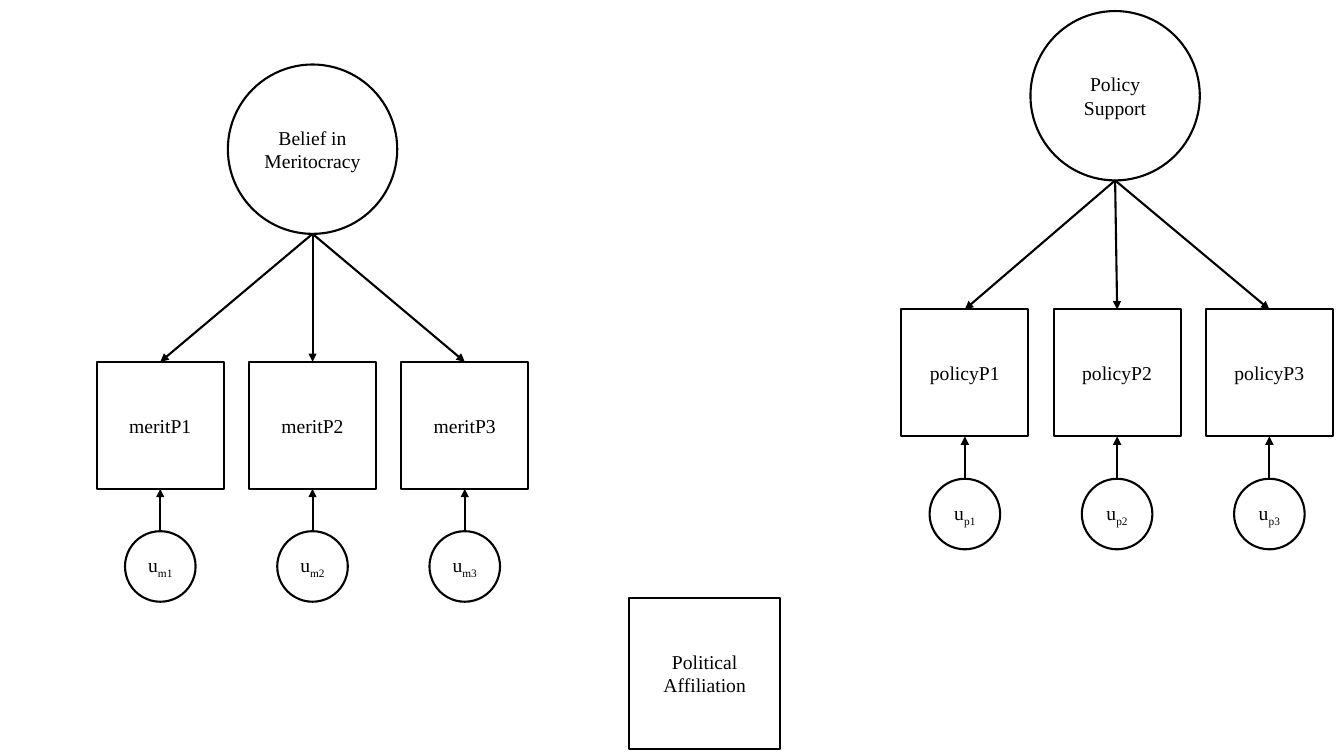
from lxml.etree import SubElement
from pptx import Presentation
from pptx.dml.color import RGBColor
from pptx.enum.shapes import MSO_CONNECTOR as CONNECTOR, MSO_SHAPE as SHAPE
from pptx.enum.text import MSO_ANCHOR, PP_ALIGN
from pptx.oxml.ns import qn
from pptx.util import Inches, Pt

BLACK = RGBColor(0, 0, 0)
WHITE = RGBColor(255, 255, 255)
FONT_FORMAT = {"name": "Times New Roman", "size": Pt(14)}

LATENT_SIZE = 1.68
INDICATOR_SIZE = 1.26
INDICATOR_STEP = 1.51
ERROR_SIZE = 0.7
ERROR_DROP = 1.68
AFFILIATION_SIZE = 1.5


def add_node(parent, kind, center_x, top, size, label, subscript=""):
    node = parent.add_shape(kind, Inches(center_x - size / 2), Inches(top), Inches(size), Inches(size))
    node.shadow.inherit = False
    node.fill.solid()
    node.fill.fore_color.rgb = WHITE
    node.line.color.rgb = BLACK
    node.line.width = Pt(1.5)
    node.text_frame.vertical_anchor = MSO_ANCHOR.MIDDLE
    paragraph = node.text_frame.paragraphs[0]
    paragraph.alignment = PP_ALIGN.CENTER
    for text, baseline in ((label, None), (subscript, "-25000")):
        if not text:
            continue
        run = paragraph.add_run()
        run.text = text
        run.font.color.rgb = BLACK
        for attribute, value in FONT_FORMAT.items():
            setattr(run.font, attribute, value)
        if baseline:
            run._r.get_or_add_rPr().set("baseline", baseline)


def add_arrow(parent, start_x, start_y, end_x, end_y):
    arrow = parent.add_connector(
        CONNECTOR.STRAIGHT, Inches(start_x), Inches(start_y), Inches(end_x), Inches(end_y)
    )
    arrow.line.color.rgb = BLACK
    arrow.line.width = Pt(1.5)
    SubElement(arrow.line._get_or_add_ln(), qn("a:tailEnd"), type="triangle")
    SubElement(arrow._element.spPr, qn("a:effectLst"))


prs = Presentation()
prs.slide_width = Inches(13.33)
prs.slide_height = Inches(7.5)
slide = prs.slides.add_slide(prs.slide_layouts[6])

add_node(slide.shapes, SHAPE.RECTANGLE, 6.99, 5.93, AFFILIATION_SIZE, "Political Affiliation")

factors = [
    ("Belief in Meritocracy", "merit", "m", 3.1, 0.64, 1.59, 3.59),
    ("Policy Support", "policy", "p", 11.06, 0.11, 9.57, 3.07),
]

for factor, prefix, error, factor_x, factor_top, first_x, indicator_top in factors:
    model = slide.shapes.add_group_shape().shapes
    add_node(model, SHAPE.OVAL, factor_x, factor_top, LATENT_SIZE, factor)
    error_top = indicator_top + ERROR_DROP
    for index in range(3):
        number = index + 1
        x = first_x + index * INDICATOR_STEP
        add_node(model, SHAPE.RECTANGLE, x, indicator_top, INDICATOR_SIZE, f"{prefix}P{number}")
        add_node(model, SHAPE.OVAL, x, error_top, ERROR_SIZE, "u", f"{error}{number}")
        add_arrow(model, factor_x, factor_top + LATENT_SIZE, x, indicator_top)
        add_arrow(model, x, error_top, x, indicator_top + INDICATOR_SIZE)

prs.save("out.pptx")
